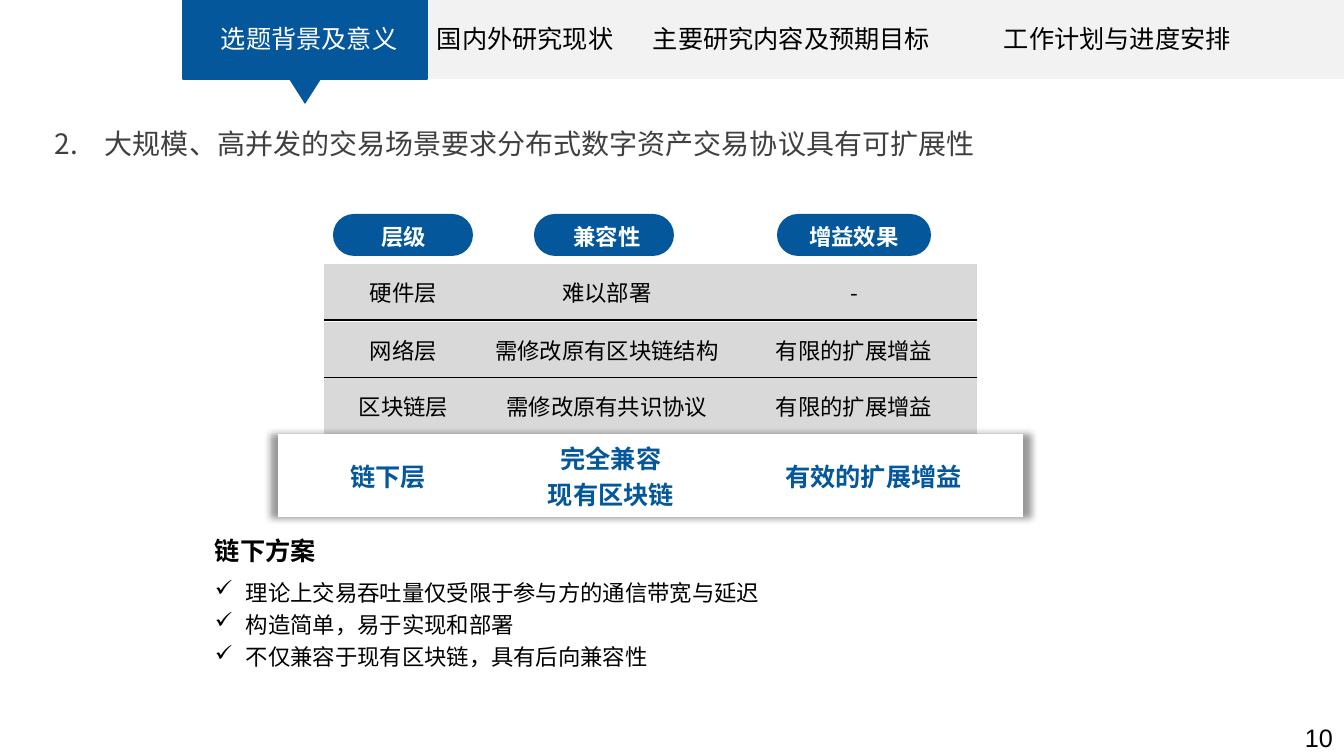
from lxml.etree import SubElement
from pptx import Presentation
from pptx.dml.color import RGBColor
from pptx.enum.shapes import MSO_SHAPE as Preset
from pptx.enum.text import MSO_ANCHOR as Anchor, MSO_AUTO_SIZE as AutoSize, PP_ALIGN as Align
from pptx.oxml import parse_xml
from pptx.oxml.ns import nsdecls, qn
from pptx.util import Emu, Pt

SLIDE_WIDTH = 12192000
SCALE = SLIDE_WIDTH / 1344
BLUE, GREY, PALE, BLACK, WHITE = "04579A", "D9D9D9", "F2F2F2", "000000", "FFFFFF"
CJK = "Noto Sans CJK SC"
NO_STYLE = "{2D5ABB26-0587-4C30-8999-92F81FD0307C}"
GRID_COLUMNS = (159, 248, 246)
ROW_HEIGHT = 56


def px(length):
    return Emu(round(length * SCALE))


def color(value):
    return RGBColor.from_string(value)


def set_attributes(target, values):
    for name, value in values.items():
        setattr(target, name, value)


def add_element(parent, tag, **attributes):
    return SubElement(parent, qn(tag), {name: str(value) for name, value in attributes.items()})


def add_run(paragraph, text, size, fill=BLACK, bold=False, font="Arial"):
    run = paragraph.add_run()
    run.text = text
    set_attributes(run.font, {"size": Pt(size), "bold": bold, "name": font})
    run.font.color.rgb = color(fill)


def add_shape(slide, preset, box, fill, line=None):
    shape = slide.shapes.add_shape(preset, *map(px, box))
    shape.shadow.inherit = False
    shape.fill.solid()
    shape.fill.fore_color.rgb = color(fill)
    if line:
        shape.line.color.rgb = color(line)
        shape.line.width = Pt(1)
    else:
        shape.line.fill.background()
    return shape


def add_text_frame(slide, box):
    frame = slide.shapes.add_textbox(*map(px, box)).text_frame
    set_attributes(frame, {"word_wrap": True, "auto_size": AutoSize.SHAPE_TO_FIT_TEXT})
    return frame


def add_bullet(paragraph, indent, tag, **attributes):
    properties = paragraph._p.get_or_add_pPr()
    properties.set("marL", str(px(indent)))
    properties.set("indent", str(-px(indent)))
    add_element(properties, tag, **attributes)


def add_bottom_border(cell):
    line = parse_xml(f'<a:lnB {nsdecls("a")} w="{Pt(1)}"><a:solidFill>'
                     f'<a:srgbClr val="{BLACK}"/></a:solidFill></a:lnB>')
    cell._tc.get_or_add_tcPr().insert(0, line)


def add_table(slide, left, top, columns, heights, rows, fills, lined=(), **style):
    """Rows of centred cells; a fill of None is clear, lined rows get a rule below."""
    box = (left, top, sum(columns), sum(heights))
    table = slide.shapes.add_table(len(rows), len(columns), *map(px, box)).table
    set_attributes(table, {"first_row": False, "horz_banding": False})
    table._tbl.tblPr.find(qn("a:tableStyleId")).text = NO_STYLE
    for column, width in zip(table.columns, columns):
        column.width = px(width)
    for index, (row, height, texts, fill) in enumerate(zip(table.rows, heights, rows, fills)):
        row.height = px(height)
        for cell, text in zip(row.cells, texts):
            cell.vertical_anchor = Anchor.MIDDLE
            if fill:
                cell.fill.solid()
                cell.fill.fore_color.rgb = color(fill)
            else:
                cell.fill.background()
            if index in lined:
                add_bottom_border(cell)
            for number, line in enumerate(text.split("\n") if text else ()):
                frame = cell.text_frame
                paragraph = frame.add_paragraph() if number else frame.paragraphs[0]
                paragraph.alignment = Align.CENTER
                header = {} if fill else {"fill": WHITE, "bold": True}
                add_run(paragraph, line, **{"size": 16, "font": CJK, **style, **header})
    return table


def add_navigation(slide, left, top, height):
    # Tab backgrounds, the current one on top
    for tab_left, width in ((427, 219), (646, 344), (990, 354)):
        add_shape(slide, Preset.RECTANGLE, (tab_left, top, width, height), PALE)
    add_shape(slide, Preset.RECTANGLE, (left, top, 244, height), BLUE, BLUE)
    # Tab titles on shared tab stops
    paragraph = add_text_frame(slide, (left + 18, top + 18, 1110, 40)).paragraphs[0]
    stops = add_element(paragraph._p.get_or_add_pPr(), "a:tabLst")
    titles = ("选题背景及意义", "国内外研究现状", "主要研究内容及预期目标", "工作计划与进度安排")
    for index, (title, stop) in enumerate(zip(titles, (10, 226, 442, 793))):
        add_element(stops, "a:tab", pos=px(stop), algn="l")
        add_run(paragraph, "\t" + title, 18, BLACK if index else WHITE)
    # Pointer below the current tab
    pointer = add_shape(slide, Preset.ISOSCELES_TRIANGLE, (left + 106, top + height, 32, 25), BLUE)
    pointer.rotation = 180


def add_heading(slide, box):
    paragraph = add_text_frame(slide, box).paragraphs[0]
    add_bullet(paragraph, 50, "a:buAutoNum", type="arabicPeriod", startAt=2)
    paragraph.line_spacing = 1.5
    add_run(paragraph, "大规模、高并发的交易场景要求分布式数字资产交易协议具有可扩展性", 20, "404040")


def add_comparison(slide, left, top):
    # Header pills
    for offset, width in ((453, 154), (210, 140), (9, 140)):
        pill = add_shape(slide, Preset.ROUNDED_RECTANGLE, (left + offset, top + 6, width, 42), BLUE)
        pill.adjustments[0] = 0.5
    # Header and first layer
    add_table(slide, left, top, GRID_COLUMNS, (ROW_HEIGHT, ROW_HEIGHT, 70),
              (("层级", "兼容性", "增益效果"), ("硬件层", "难以部署", "-"), ("", "", "")),
              (None, GREY, WHITE), lined=(1,))
    # Further layers
    layers = (("网络层", "需修改原有区块链结构", "有限的扩展增益"),
              ("区块链层", "需修改原有共识协议", "有限的扩展增益"))
    for index, layer in enumerate(layers):
        add_table(slide, left, top + 114 + index * ROW_HEIGHT, GRID_COLUMNS, (ROW_HEIGHT,),
                  (layer,), (GREY,), lined=(0,) if index == 0 else ())
    # Highlighted layer with a soft shadow
    table = add_table(slide, left - 46, top + 226, (220, 226, 299), (72,),
                      (("链下层", "完全兼容\n现有区块链", "有效的扩展增益"),), (WHITE,),
                      size=18, fill=BLUE, bold=True)
    table._tbl.tblPr.insert(0, parse_xml(
        f'<a:effectLst {nsdecls("a")}><a:outerShdw blurRad="63500" sx="102000" sy="102000" '
        f'algn="ctr" rotWithShape="0"><a:srgbClr val="{BLACK}"><a:alpha val="40000"/>'
        '</a:srgbClr></a:outerShdw></a:effectLst>'))


def add_benefits(slide, box):
    frame = add_text_frame(slide, box)
    title = frame.paragraphs[0]
    title.space_after = Pt(6)
    add_run(title, "链下方案", 18, bold=True)
    for benefit in ("理论上交易吞吐量仅受限于参与方的通信带宽与延迟",
                    "构造简单，易于实现和部署",
                    "不仅兼容于现有区块链，具有后向兼容性"):
        paragraph = frame.add_paragraph()
        add_bullet(paragraph, 31, "a:buChar", char="✓")
        paragraph.line_spacing = 1.2
        add_run(paragraph, benefit, 16)


def add_page_number(slide, box):
    paragraph = add_text_frame(slide, box).paragraphs[0]
    paragraph.alignment = Align.CENTER
    add_run(paragraph, "10", 18)


def main():
    presentation = Presentation()
    set_attributes(presentation, {"slide_width": SLIDE_WIDTH, "slide_height": px(756)})
    slide = presentation.slides.add_slide(presentation.slide_layouts[6])
    add_comparison(slide, 324, 208)
    add_benefits(slide, (205, 530, 664, 144))
    add_navigation(slide, 183, 0, 79)
    add_heading(slide, (45, 105, 1182, 55))
    add_page_number(slide, (1294, 717, 50, 40))
    presentation.save("out.pptx")


if __name__ == "__main__":
    main()
